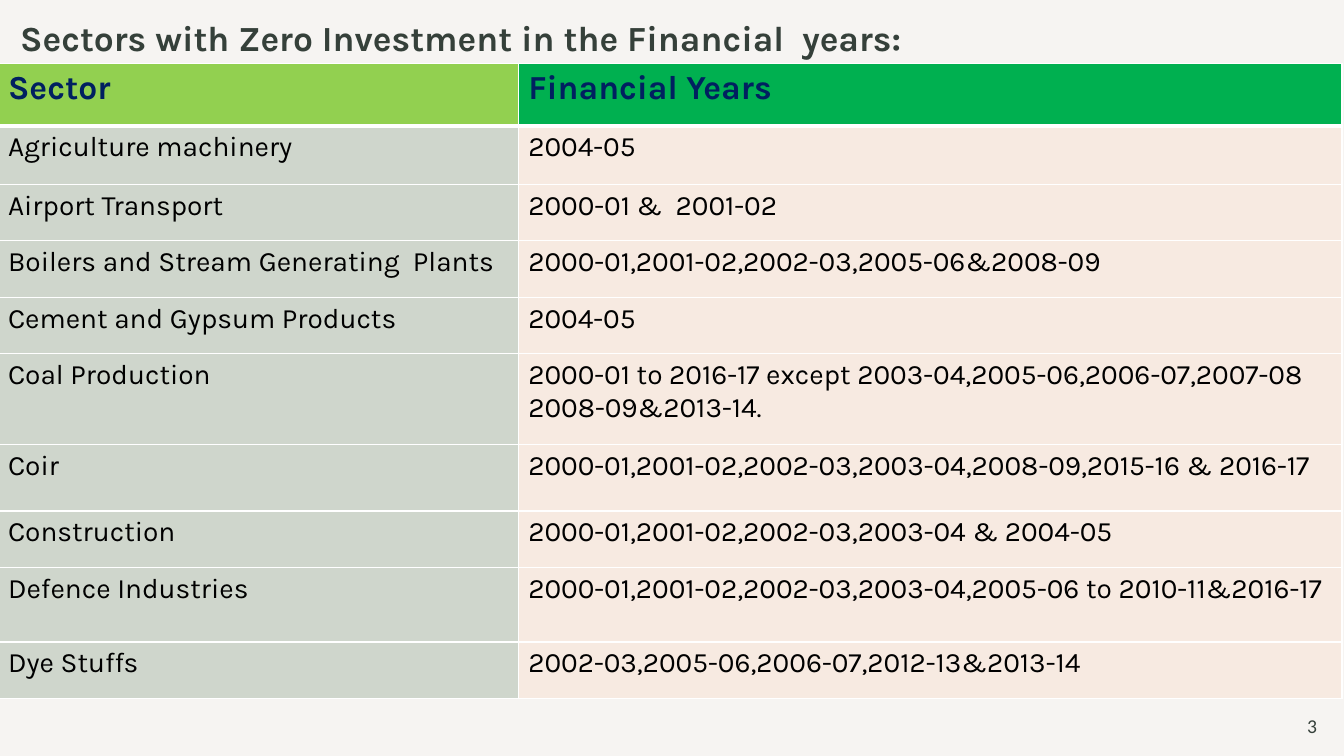
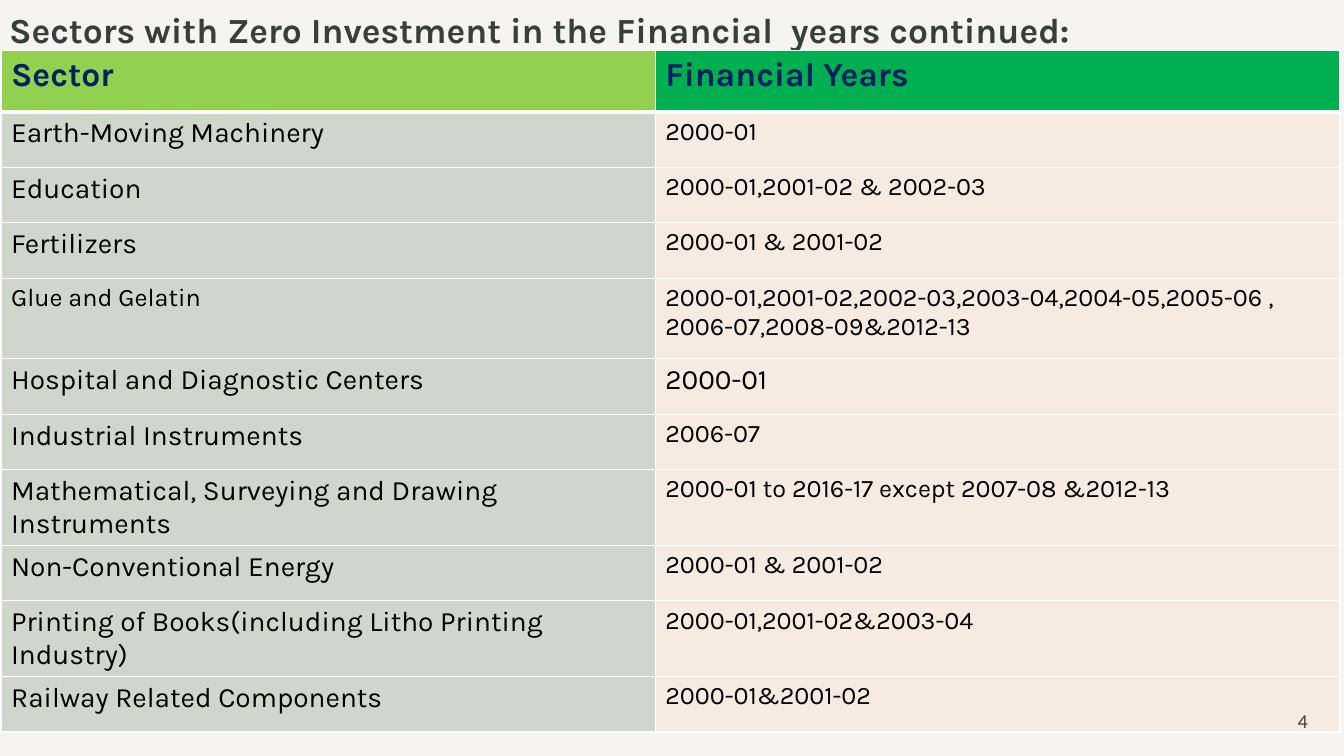
from dataclasses import dataclass

from lxml import etree
from pptx import Presentation
from pptx import util as u
from pptx.dml.color import RGBColor
from pptx.enum import text
from pptx.oxml.ns import qn

EMU_PER_PX = 9144  # 100 px to the inch


@dataclass(frozen=True)
class Theme:
    background: str = "F6F4F2"
    ink: str = "35403A"
    heading: str = "002060"
    body: str = "000000"
    border: str = "FFFFFF"
    heading_fills: tuple[str, str] = ("92D050", "00B050")
    body_fills: tuple[str, str] = ("CFD6CC", "F7EAE1")
    font: str = "Karla"
    number_font: str = "Calibri"
    title_size: float = 25.2
    heading_size: int = 24
    large: int = 20
    small: int = 18
    number_size: int = 14
    thin: int = 1
    thick: int = 3


THEME = Theme()
HEADINGS = ("Sector", "Financial Years")


@dataclass(frozen=True)
class Box:
    left: int
    top: int
    width: int
    height: int

    def emu(self) -> tuple[u.Emu, ...]:
        return tuple(map(px, (self.left, self.top, self.width, self.height)))


@dataclass(frozen=True)
class Sector:
    name: str
    years: str
    height: int = 0  # 0 takes the usual row height of the page
    sizes: tuple[int, int] | None = None


@dataclass(frozen=True)
class Page:
    number: int
    title: str
    title_box: Box
    table_left: int
    table_top: int
    columns: tuple[int, int]
    heading_height: int
    row_height: int
    sizes: tuple[int, int]
    number_box: Box
    sectors: tuple[Sector, ...]


PAGES = (
    Page(
        number=3,
        title="Sectors with Zero Investment in the Financial  years:",
        title_box=Box(10, 8, 1143, 55),
        table_left=-2,
        table_top=63,
        columns=(516, 817),
        heading_height=62,
        row_height=56,
        sizes=(THEME.large, THEME.large),
        number_box=Box(1259, 700, 57, 40),
        sectors=(
            Sector("Agriculture machinery", "2004-05", 58),
            Sector("Airport Transport", "2000-01 &  2001-02"),
            Sector("Boilers and Stream Generating  Plants",
                   "2000-01,2001-02,2002-03,2005-06&2008-09"),
            Sector("Cement and Gypsum Products", "2004-05"),
            Sector("Coal Production",
                   "2000-01 to 2016-17 except 2003-04,2005-06,2006-07,2007-08\n"
                   "2008-09&2013-14.", 90),
            Sector("Coir",
                   "2000-01,2001-02,2002-03,2003-04,2008-09,2015-16 & 2016-17", 66),
            Sector("Construction", "2000-01,2001-02,2002-03,2003-04 & 2004-05"),
            Sector("Defence Industries",
                   "2000-01,2001-02,2002-03,2003-04,2005-06 to 2010-11&2016-17", 74),
            Sector("Dye Stuffs", "2002-03,2005-06,2006-07,2012-13&2013-14"),
        ),
    ),
    Page(
        number=4,
        title="Sectors with Zero Investment in the Financial  years continued:",
        title_box=Box(-1, 5, 1143, 50),
        table_left=1,
        table_top=50,
        columns=(649, 679),
        heading_height=61,
        row_height=55,
        sizes=(THEME.large, THEME.small),
        number_box=Box(1250, 695, 57, 40),
        sectors=(
            Sector("Earth-Moving Machinery", "2000-01"),
            Sector("Education", "2000-01,2001-02 & 2002-03"),
            Sector("Fertilizers", "2000-01 & 2001-02"),
            Sector("Glue and Gelatin",
                   "2000-01,2001-02,2002-03,2003-04,2004-05,2005-06 ,\n"
                   "2006-07,2008-09&2012-13", 80, (THEME.small, THEME.small)),
            Sector("Hospital and Diagnostic Centers", "2000-01",
                   sizes=(THEME.large, THEME.large)),
            Sector("Industrial Instruments", "2006-07"),
            Sector("Mathematical, Surveying and Drawing Instruments",
                   "2000-01 to 2016-17 except 2007-08 &2012-13", 75),
            Sector("Non-Conventional Energy", "2000-01 & 2001-02"),
            Sector("Printing of Books(including Litho Printing Industry)",
                   "2000-01,2001-02&2003-04", 75),
            Sector("Railway Related Components", "2000-01&2001-02"),
        ),
    ),
)


def px(length: int) -> u.Emu:
    return u.Emu(length * EMU_PER_PX)


def write(frame, content: str, *, size: float, color: str, font: str = THEME.font,
          bold: bool = False, align=text.PP_ALIGN.LEFT,
          anchor=text.MSO_ANCHOR.TOP) -> None:
    """Fill a text frame, one paragraph for each line of content."""
    frame.word_wrap = True
    frame.vertical_anchor = anchor
    frame.text = content
    for paragraph in frame.paragraphs:
        paragraph.alignment = align
        for run in paragraph.runs:
            run.font.name = font
            run.font.size = u.Pt(size)
            run.font.bold = bold
            run.font.color.rgb = RGBColor.from_string(color)


def set_borders(cell, top: int, bottom: int) -> None:
    """Draw thin side borders, and top and bottom ones of the given points."""
    properties = cell._tc.get_or_add_tcPr()
    widths = {"lnL": THEME.thin, "lnR": THEME.thin, "lnT": top, "lnB": bottom}
    for side, points in widths.items():
        line = etree.SubElement(properties, qn(f"a:{side}"), w=str(u.Pt(points)))
        fill = etree.SubElement(line, qn("a:solidFill"))
        etree.SubElement(fill, qn("a:srgbClr"), val=THEME.border)


def fill_cell(cell, content: str, fill: str, *, size: int, color: str,
              bold: bool = False, top: int = THEME.thin,
              bottom: int = THEME.thin) -> None:
    set_borders(cell, top, bottom)
    cell.fill.solid()
    cell.fill.fore_color.rgb = RGBColor.from_string(fill)
    write(cell.text_frame, content, size=size, color=color, bold=bold)


def add_sector_table(slide, page: Page) -> None:
    heights = [page.heading_height,
               *(sector.height or page.row_height for sector in page.sectors)]
    area = Box(page.table_left, page.table_top, sum(page.columns), sum(heights))
    table = slide.shapes.add_table(len(heights), len(HEADINGS), *area.emu()).table
    table.horz_banding = False
    for column, width in zip(table.columns, page.columns):
        column.width = px(width)
    for row, height in zip(table.rows, heights):
        row.height = px(height)

    for col, heading in enumerate(HEADINGS):
        fill_cell(table.cell(0, col), heading, THEME.heading_fills[col],
                  size=THEME.heading_size, color=THEME.heading, bold=True,
                  bottom=THEME.thick)
    for row, sector in enumerate(page.sectors, start=1):
        sizes = sector.sizes or page.sizes
        for col, content in enumerate((sector.name, sector.years)):
            fill_cell(table.cell(row, col), content, THEME.body_fills[col],
                      size=sizes[col], color=THEME.body,
                      top=THEME.thick if row == 1 else THEME.thin)


def add_page(deck, page: Page) -> None:
    slide = deck.slides.add_slide(deck.slide_layouts.get_by_name("Title Only"))
    title = slide.shapes.title
    title.left, title.top, title.width, title.height = page.title_box.emu()
    title.text_frame.auto_size = text.MSO_AUTO_SIZE.NONE
    write(title.text_frame, page.title, size=THEME.title_size, color=THEME.ink,
          bold=True, anchor=text.MSO_ANCHOR.BOTTOM)
    add_sector_table(slide, page)
    number = slide.shapes.add_textbox(*page.number_box.emu())
    write(number.text_frame, str(page.number), size=THEME.number_size,
          color=THEME.ink, font=THEME.number_font, align=text.PP_ALIGN.RIGHT,
          anchor=text.MSO_ANCHOR.MIDDLE)


def main() -> None:
    deck = Presentation()
    deck.slide_width, deck.slide_height = px(1333), px(750)
    backdrop = deck.slide_master.background.fill
    backdrop.solid()
    backdrop.fore_color.rgb = RGBColor.from_string(THEME.background)
    for page in PAGES:
        add_page(deck, page)
    deck.save("out.pptx")


if __name__ == "__main__":
    main()
